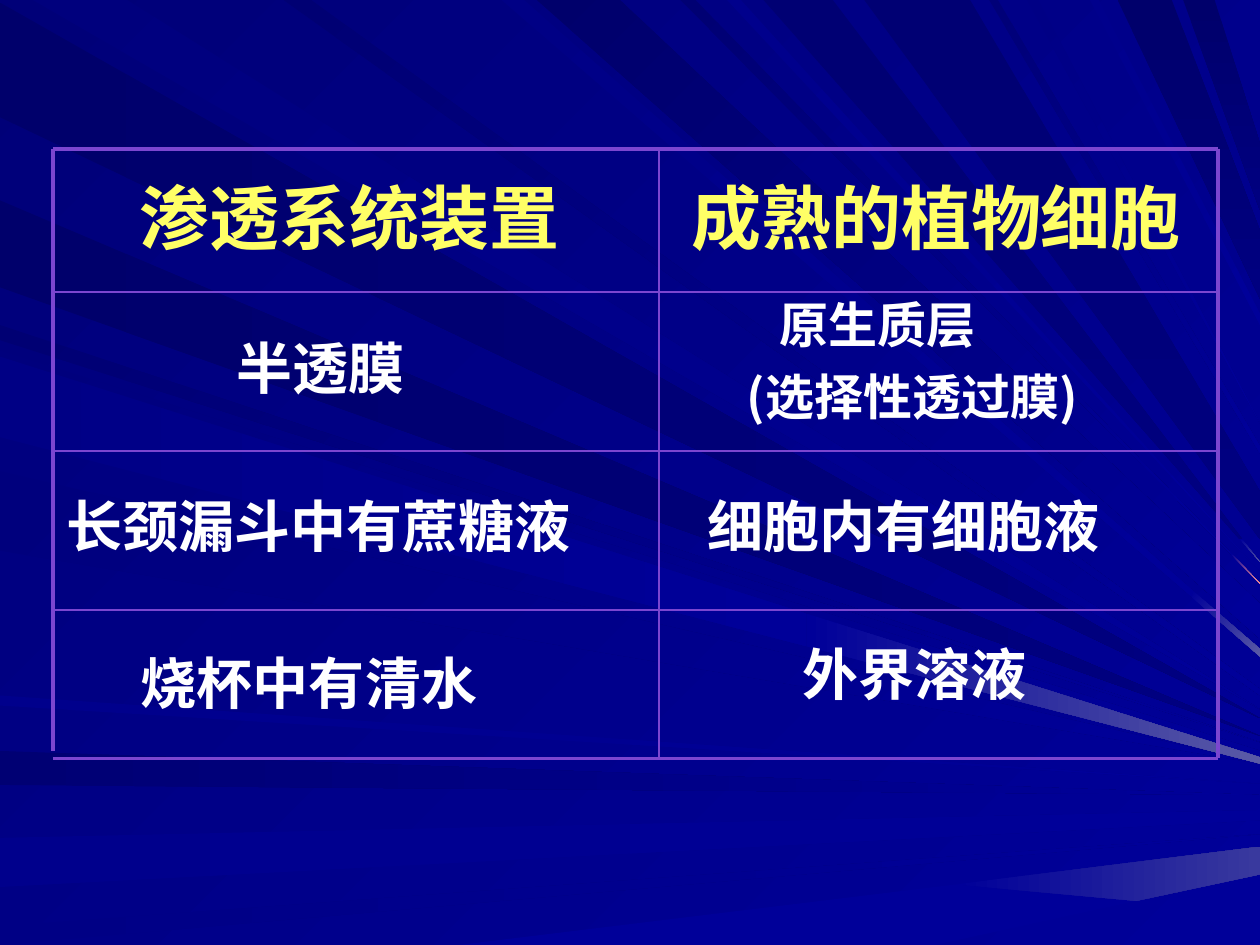
from lxml import etree
from pptx import Presentation
from pptx import util as u
from pptx.dml.color import RGBColor
from pptx.enum import shapes, text
from pptx.oxml.ns import qn

PX = 9144  # EMU per px, 100 px to the inch
WIDTH, HEIGHT = 1000, 750
FONT = "Noto Sans CJK SC"
COLORS = {
    "white": "FFFFFF", "heading": "FFFF66", "grid": "7B46D0",
    "ink": "00006B", "night": "000073", "deep": "000078", "dusk": "00007D",
    "navy": "000080", "royal": "000085", "blue": "00008C", "bright": "000099",
    "haze": "5A5AA6", "mist": "39399E", "pink": "FF9999",
}
ANGLES = {"across": 0, "slant": 45, "down": 90}
EDGES = {
    "left": lambda n: (0, n),
    "top": lambda n: (n, 0),
    "bottom": lambda n: (n, HEIGHT),
}

# Rays run from a stretch of one edge to one or two heights on the right edge:
# edge, gradient direction, first and last colour, stretch, heights
RAYS = [
    ("left", "across", "ink", "navy", (2, 93), (570,)),
    ("top", "slant", "dusk", "bright", (101, 26), (563,)),
    ("left", "across", "night", "bright", (596, 623), (631,)),
    ("left", "across", "blue", "bright", (665, 704), (643, 651)),
    ("left", "across", "royal", "bright", (735, 750), (662,)),
    ("bottom", "across", "bright", "bright", (364, 742), (672, 694)),
    ("left", "slant", "night", "bright", (258, 270), (589,)),
    ("left", "across", "ink", "navy", (159, 228), (584,)),
    ("top", "slant", "royal", "bright", (416, 398), (515, 521)),
    ("top", "slant", "ink", "bright", (492, 426), (479, 507)),
    ("top", "slant", "night", "bright", (552, 540), (463,)),
    ("top", "down", "night", "navy", (661, 606), (446,)),
    ("top", "down", "ink", "navy", (930, 887), (183, 237)),
    ("top", "down", "ink", "navy", (964, 939), (114, 167)),
    ("left", "slant", "dusk", "bright", (278, 342), (596, 602)),
    ("left", "slant", "dusk", "bright", (374, 437), (606,)),
    ("left", "across", "blue", "bright", (552, 560), (622,)),
    ("top", "slant", "night", "bright", (247, 225), (547, 552)),
    ("top", "slant", "blue", "bright", (588, 577), (454,)),
    ("top", "down", "night", "navy", (770, 686), (390, 428)),
    ("top", "slant", "deep", "bright", (792, 785), (354, 360)),
    ("top", "slant", "royal", "bright", (824, 815), (336,)),
    ("top", "slant", "blue", "bright", (872, 865), (249, 258)),
    ("left", "across", "royal", "bright", (283, 347), (601, 606)),
]
# Rays with a lighter tail: share of the length before it, colour at its end
TAILS = {
    (364, 742): (0.62, "mist"),
    (416, 398): (0.91, "haze"),
    (552, 540): (0.95, "pink"),
    (661, 606): (0.96, "haze"),
    (283, 347): (0.64, "haze"),
}

# Cell texts: wording, box (left, top, width, height), left indent
CELLS = [
    ("细胞内有细胞液", (522, 391, 420, 117), 30),
    ("长颈漏斗中有蔗糖液", (33, 391, 533, 69), 10),
    ("外界溶液", (617, 509, 234, 73), 10),
    ("烧杯中有清水", (92, 516, 425, 58), 10),
    ("半透膜", (158, 266, 242, 58), 20),
]
HEADINGS = [("成熟的植物细胞", 533, 420), ("渗透系统装置", 50, 455)]

# Grid: outer edges and inner rules
LEFT, MIDDLE, RIGHT = 42, 523, 967
TOP, BOTTOM, LEFT_END = 118, 602, 596
INNER_ROWS = [232 + 126 * row for row in range(3)]
THICK, THIN = 2.25, 1


def color(name):
    return RGBColor.from_string(COLORS[name])


def between(start, end, share):
    return tuple(round(a + (b - a) * share) for a, b in zip(start, end))


def write(paragraph, wording, size=32, ink="white", align=None, indent=0, before=0):
    paragraph.line_spacing = 0.9
    if before:
        paragraph.space_before = u.Pt(before)
    if align is not None:
        paragraph.alignment = align
    if indent:
        paragraph._p.get_or_add_pPr().set("marL", str(indent * PX))
    run = paragraph.add_run()
    run.text = wording
    run.font.size, run.font.bold, run.font.name = u.Pt(size), True, FONT
    run.font.color.rgb = color(ink)
    etree.SubElement(run._r.get_or_add_rPr(), qn("a:ea")).set("typeface", FONT)


class Board:
    def __init__(self, deck):
        self.slide = deck.slides.add_slide(deck.slide_layouts[6])
        self.shapes = self.slide.shapes

    def blend(self, fill, first, last, direction):
        if first == last:
            fill.solid()
            fill.fore_color.rgb = color(first)
            return
        fill.gradient()
        fill.gradient_angle = -ANGLES[direction] % 360
        for stop, name in zip(fill.gradient_stops, (first, last)):
            stop.color.rgb = color(name)

    def beam(self, corners, first, last, direction):
        builder = self.shapes.build_freeform(*corners[0], scale=PX)
        builder.add_line_segments(corners[1:], close=True)
        band = builder.convert_to_shape()
        band.shadow.inherit = False
        band.line.fill.background()
        self.blend(band.fill, first, last, direction)

    def ray(self, edge, direction, first, last, stretch, heights):
        a, b = (EDGES[edge](n) for n in stretch)
        tip_a, tip_b = (WIDTH, heights[0]), (WIDTH, heights[-1])
        share, tail = TAILS.get(stretch, (1, None))
        mid_a, mid_b = between(a, tip_a, share), between(b, tip_b, share)
        self.beam([a, mid_a, mid_b, b], first, last, direction)
        if tail:
            self.beam([mid_a, tip_a, tip_b, mid_b], "bright", tail, direction)

    def frame(self, box):
        words = self.shapes.add_textbox(*(n * PX for n in box)).text_frame
        words.word_wrap = True
        return words

    def label(self, wording, box, **style):
        write(self.frame(box).paragraphs[0], wording, **style)

    def rule(self, x1, y1, x2, y2, weight):
        edge = self.shapes.add_connector(
            shapes.MSO_CONNECTOR.STRAIGHT, *(n * PX for n in (x1, y1, x2, y2)))
        edge.line.color.rgb = color("grid")
        edge.line.width = u.Pt(weight)
        etree.SubElement(edge._element.spPr, qn("a:effectLst"))


def main():
    deck = Presentation()
    deck.slide_width, deck.slide_height = WIDTH * PX, HEIGHT * PX
    board = Board(deck)

    # Background
    board.blend(board.slide.background.fill, "deep", "bright", "slant")
    for ray in RAYS:
        board.ray(*ray)

    # Cell texts and column headings
    for wording, box, indent in CELLS:
        board.label(wording, box, indent=indent)
    for wording, x, width in HEADINGS:
        board.label(wording, (x, 141, width, 106), size=40, ink="heading",
                    align=text.PP_ALIGN.CENTER)

    # Grid
    for y in (TOP, *INNER_ROWS, BOTTOM):
        board.rule(LEFT, y, RIGHT, y, THIN if y in INNER_ROWS else THICK)
    for x, end, weight in ((LEFT, LEFT_END, THICK), (MIDDLE, BOTTOM, THIN), (RIGHT, BOTTOM, THICK)):
        board.rule(x, TOP, x, end, weight)

    # Two-line cell on the protoplast layer
    layer = board.frame((583, 234, 331, 127))
    write(layer.paragraphs[0], "原生质层", size=28, indent=26)
    write(layer.add_paragraph(), "(选择性透过膜)", size=28, before=11)

    deck.save("out.pptx")


if __name__ == "__main__":
    main()
